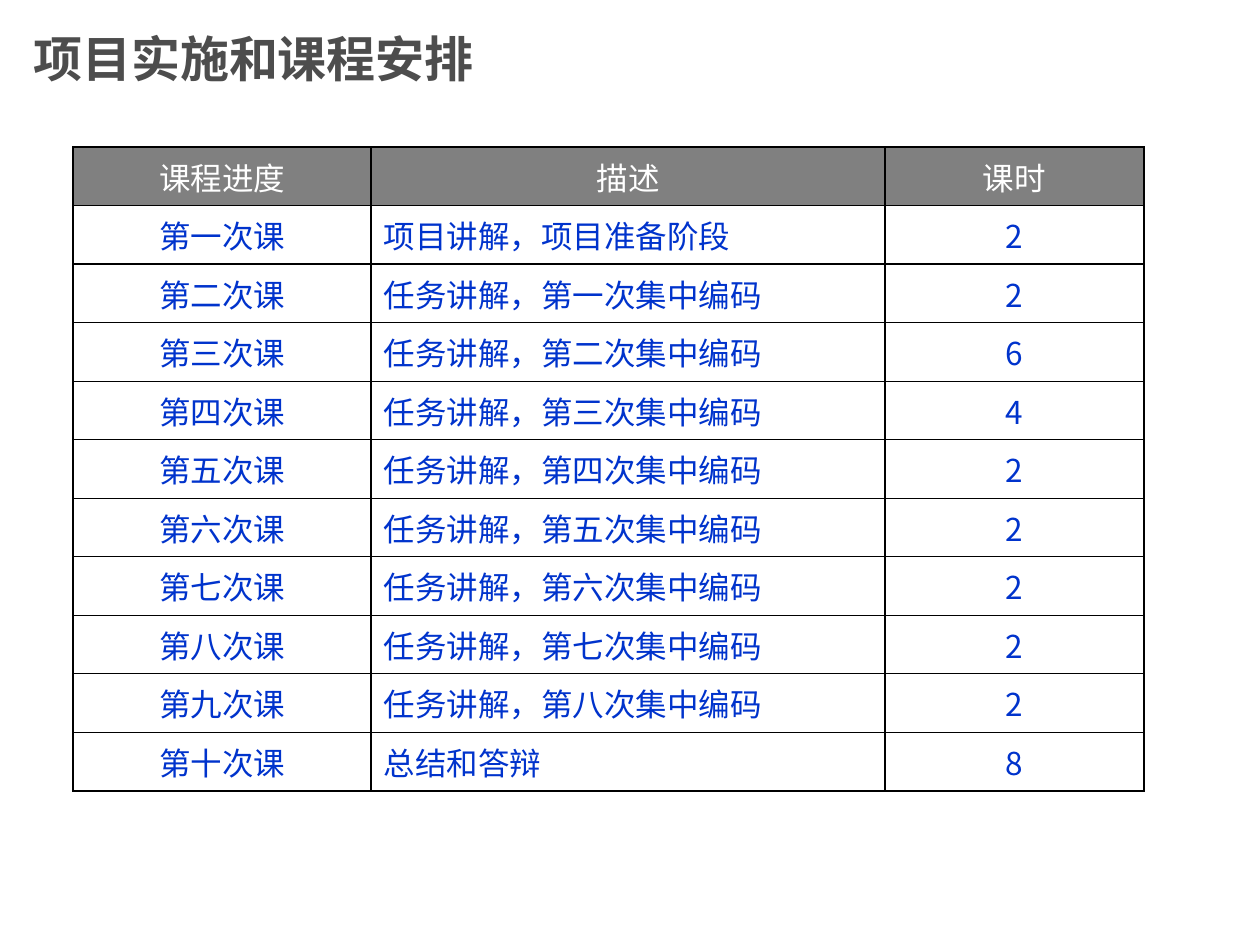
from lxml import etree
from pptx import Presentation
from pptx import util as u
from pptx.dml.color import RGBColor
from pptx.enum import text
from pptx.oxml.ns import qn

CJK_FONT = "Noto Sans CJK SC"
THIN, THICK = 0.75, 1.08
HEADINGS = ("课程进度", "描述", "课时")
NUMERALS = "一二三四五六七八九十"
HOURS = (2, 2, 6, 4, 2, 2, 2, 2, 2, 8)


def px(count):
    return u.Emu(round(count * 914400 / 126))


def colour(value):
    return RGBColor.from_string(value)


def write(frame, words, size=18, font=CJK_FONT, fill="0033CC", bold=False,
          align=text.PP_ALIGN.CENTER):
    frame.word_wrap = True
    para = frame.paragraphs[0]
    para.alignment = align
    span = para.add_run()
    span.text = words
    span.font.name = font
    span.font.size = u.Pt(size)
    span.font.bold = bold
    span.font.color.rgb = colour(fill)
    properties = span.font._element
    etree.SubElement(properties, qn("a:ea"), typeface=CJK_FONT)


def set_border(cell, side, width):
    properties = cell._tc.get_or_add_tcPr()
    line = etree.SubElement(properties, qn(f"a:ln{side}"), w=str(u.Pt(width)))
    solid = etree.SubElement(line, qn("a:solidFill"))
    etree.SubElement(solid, qn("a:srgbClr"), val="000000")


def add_title(page, left, top, width, height):
    box = page.shapes.add_textbox(px(left), px(top), px(width), px(height))
    box.text_frame.vertical_anchor = text.MSO_ANCHOR.MIDDLE
    write(box.text_frame, "项目实施和课程安排", size=28, font="Arial",
          fill="4D4D4D", bold=True, align=text.PP_ALIGN.LEFT)


def schedule_rows():
    tasks = [f"任务讲解，第{numeral}次集中编码" for numeral in NUMERALS[:8]]
    topics = ["项目讲解，项目准备阶段", *tasks, "总结和答辩"]
    lessons = [f"第{numeral}次课" for numeral in NUMERALS]
    return [HEADINGS, *zip(lessons, topics, map(str, HOURS))]


def add_schedule(page, left, top, widths, height):
    rows = schedule_rows()
    last_row, last_column = len(rows) - 1, len(widths) - 1
    table = page.shapes.add_table(len(rows), len(widths), px(left), px(top),
                                  px(sum(widths)), px(height)).table
    table.first_row = table.horz_banding = False
    for column, width in zip(table.columns, widths):
        column.width = px(width)
    for r, values in enumerate(rows):
        table.rows[r].height = px(height / len(rows))
        for c, words in enumerate(values):
            cell = table.cell(r, c)
            cell.vertical_anchor = text.MSO_ANCHOR.MIDDLE
            outer = {"L": c == 0, "R": c == last_column,
                     "T": r == 0, "B": r == last_row}
            for side, is_outer in outer.items():
                set_border(cell, side, THICK if is_outer else THIN)
            if r == 0:
                cell.fill.solid()
                cell.fill.fore_color.rgb = colour("808080")
            else:
                cell.fill.background()
            is_topic = r > 0 and c == 1
            write(cell.text_frame, words,
                  fill="0033CC" if r else "FFFFFF",
                  align=text.PP_ALIGN.LEFT if is_topic else text.PP_ALIGN.CENTER)


def main():
    deck = Presentation()
    deck.slide_width, deck.slide_height = px(1260), px(945)
    page = deck.slides.add_slide(deck.slide_layouts[6])
    add_title(page, 21, 0, 945, 116)
    add_schedule(page, 73, 147, (298, 514, 259), 644)
    deck.save("out.pptx")


if __name__ == "__main__":
    main()
